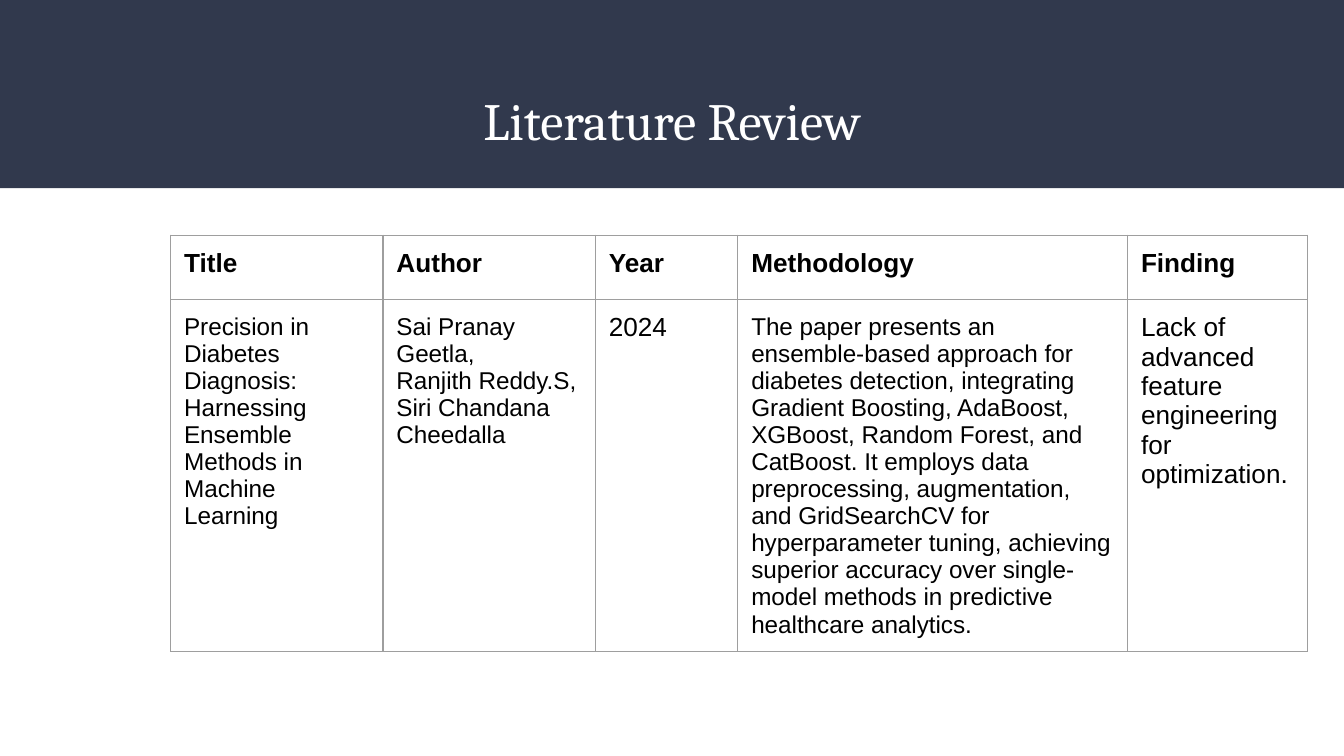
from lxml.etree import SubElement
from pptx import Presentation
from pptx.dml.color import RGBColor
from pptx.enum.shapes import MSO_SHAPE
from pptx.enum.text import MSO_ANCHOR, PP_ALIGN
from pptx.oxml.ns import qn
from pptx.util import Inches, Pt

NAVY, WHITE, BLACK, GREY = "31394D", "FFFFFF", "000000", "9E9E9E"
COLUMN_WIDTHS = [1.58, 1.58, 1.06, 2.9, 1.34]
ROW_HEIGHTS = [0.48, 1.74]
HEADINGS = ["Title", "Author", "Year", "Methodology", "Finding"]
PAPER = [
    ("Precision in Diabetes Diagnosis: Harnessing Ensemble Methods in Machine Learning", 13),
    ("Sai Pranay Geetla,\nRanjith Reddy.S,\nSiri Chandana Cheedalla", 13),
    ("2024", 14),
    ("The paper presents an ensemble-based approach for diabetes detection, integrating "
     "Gradient Boosting, AdaBoost, XGBoost, Random Forest, and CatBoost. It employs data "
     "preprocessing, augmentation, and GridSearchCV for hyperparameter tuning, achieving "
     "superior accuracy over single-model methods in predictive healthcare analytics.", 13),
    ("Lack of advanced feature engineering for optimization.", 14),
]


def color(hex_string):
    """Return the colour of a hex string."""
    return RGBColor.from_string(hex_string)


def write_text(frame, text, size=14, font="Arial", fill=BLACK, bold=False, align=PP_ALIGN.LEFT):
    """Fill a text frame with one paragraph per line of text."""
    frame.text = text
    for paragraph in frame.paragraphs:
        paragraph.alignment = align
        for run in paragraph.runs:
            run.font.size = Pt(size)
            run.font.name = font
            run.font.bold = bold
            run.font.color.rgb = color(fill)


def set_margins(target, margin=0.1):
    """Give a cell or text frame equal margins on all sides."""
    target.margin_left = target.margin_right = Inches(margin)
    target.margin_top = target.margin_bottom = Inches(margin)


def set_borders(cell, hex_string, width):
    """Draw the four borders of a table cell."""
    properties = cell._tc.get_or_add_tcPr()
    for index, side in enumerate(("a:lnL", "a:lnR", "a:lnT", "a:lnB")):
        line = properties.makeelement(qn(side), {"w": str(Pt(width))})
        fill = SubElement(line, qn("a:solidFill"))
        SubElement(fill, qn("a:srgbClr"), val=hex_string)
        properties.insert(index, line)


def add_header(slide, left, top, width, height):
    """Place the title on a full-width band."""
    band = slide.shapes.add_shape(
        MSO_SHAPE.RECTANGLE, Inches(left), Inches(top), Inches(width), Inches(height))
    band.shadow.inherit = False
    band.fill.solid()
    band.fill.fore_color.rgb = color(NAVY)
    band.line.fill.background()
    title = slide.shapes.title
    title._element.addprevious(band._element)
    title.left, title.top = Inches(left + 0.34), Inches(top + 0.55)
    title.width, title.height = Inches(width - 0.68), Inches(0.68)
    frame = title.text_frame
    set_margins(frame)
    frame.word_wrap = True
    frame.vertical_anchor = MSO_ANCHOR.MIDDLE
    write_text(frame, "Literature Review", size=28, font="Cambria", fill=WHITE,
               align=PP_ALIGN.CENTER)


def add_review_table(slide, left, top):
    """Place the table of reviewed papers."""
    rows = [[(heading, 14) for heading in HEADINGS], PAPER]
    table = slide.shapes.add_table(
        len(rows), len(HEADINGS), Inches(left), Inches(top),
        Inches(sum(COLUMN_WIDTHS)), Inches(sum(ROW_HEIGHTS))).table
    table.first_row = table.horz_banding = False
    for column, width in zip(table.columns, COLUMN_WIDTHS):
        column.width = Inches(width)
    for row_index, (row, height) in enumerate(zip(rows, ROW_HEIGHTS)):
        table.rows[row_index].height = Inches(height)
        for column_index, (text, size) in enumerate(row):
            cell = table.cell(row_index, column_index)
            set_margins(cell)
            cell.fill.background()
            set_borders(cell, GREY, 0.75)
            write_text(cell.text_frame, text, size=size, bold=row_index == 0)


def main():
    """Build and save the slide."""
    presentation = Presentation()
    presentation.slide_width = Inches(10)
    presentation.slide_height = presentation.slide_width * 9 // 16
    slide = presentation.slides.add_slide(presentation.slide_layouts.get_by_name("Title Only"))
    add_header(slide, 0, 0, 10, 1.4)
    add_review_table(slide, 1.27, 1.75)
    presentation.save("out.pptx")


if __name__ == "__main__":
    main()
